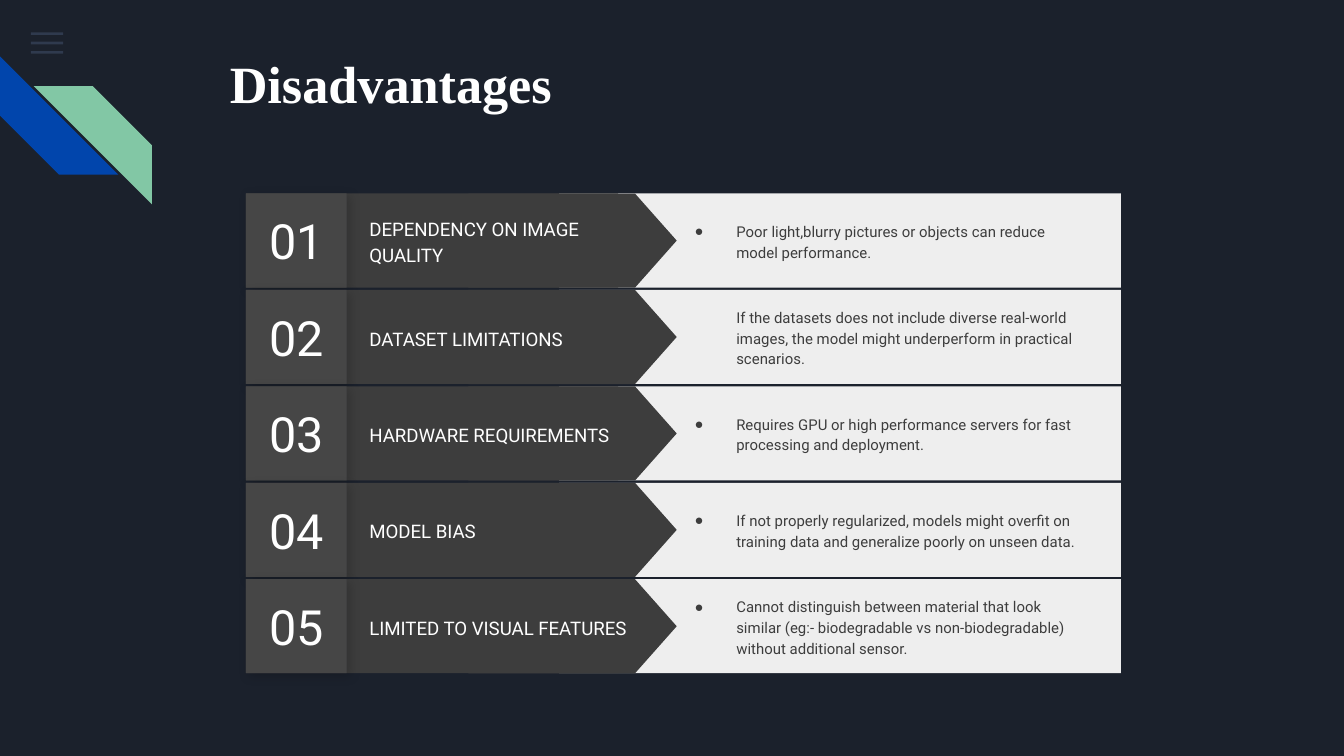
import pptx
import pptx.util
import pptx.dml.color
import pptx.enum.shapes
import pptx.enum.text
import pptx.oxml
import lxml.etree
from pptx.util import Inches, Pt

# Content: number, label, detail, bulleted
TITLE = "Disadvantages"
ROWS = [
    ("01", "DEPENDENCY ON IMAGE QUALITY",
     "Poor light,blurry pictures or objects can reduce model performance.", True),
    ("02", "DATASET LIMITATIONS",
     "If the datasets does not include diverse real-world images, the model "
     "might underperform in practical scenarios.", False),
    ("03", "HARDWARE REQUIREMENTS",
     "Requires GPU or high performance servers for fast processing and deployment.", True),
    ("04", "MODEL BIAS",
     "If not properly regularized, models might overfit on training data and "
     "generalize poorly on unseen data.", True),
    ("05", "LIMITED TO VISUAL FEATURES",
     "Cannot distinguish between material that look similar (eg:- biodegradable "
     "vs non-biodegradable) without additional sensor.", True),
]

# Sizes and formats
TOP, LAST, HIGH = 1.44, 4.31, 0.7
STEP = (LAST - TOP) / (len(ROWS) - 1)
DARK, PALE, WHITE = "3D3D3D", "EEEEEE", "FFFFFF"
KIND = pptx.enum.shapes.MSO_SHAPE
ALIGN = pptx.enum.text.PP_ALIGN
ANCHOR = pptx.enum.text.MSO_ANCHOR
HEAD = {"name": "Times New Roman", "size": Pt(28), "bold": True}
NUMBER = {"name": "Roboto", "size": Pt(26)}
LABEL = {"name": "Roboto", "size": Pt(10)}
DETAIL = {"name": "Roboto", "size": Pt(8)}


def paint(item, code):
    """Give a fill or a font a hex colour."""
    if hasattr(item, "solid"):
        item.solid()
        item = item.fore_color
    else:
        item = item.color
    item.rgb = pptx.dml.color.RGBColor.from_string(code)


def add(node, tag, **attrs):
    """Append a drawing element to an XML node."""
    child = lxml.etree.SubElement(node, pptx.oxml.ns.qn("a:" + tag))
    for key, value in attrs.items():
        child.set(key, str(value))
    return child


def draw(home, kind, box, code, turn=0, flip=False):
    shape = home.add_shape(kind, *map(Inches, box))
    shape.shadow.inherit = False
    paint(shape.fill, code)
    shape.line.fill.background()
    shape.rotation = turn
    if flip:
        shape._element.spPr.xfrm.set("flipH", "1")
    return shape


def write(shape, text, form, code, align=ALIGN.LEFT, anchor=ANCHOR.MIDDLE, lines=1.0):
    """Put one formatted paragraph in a shape and return it."""
    frame = shape.text_frame
    edge = Inches(0.1)
    setup = {"word_wrap": True, "vertical_anchor": anchor, "margin_left": edge,
             "margin_right": edge, "margin_top": edge, "margin_bottom": edge,
             "auto_size": pptx.enum.text.MSO_AUTO_SIZE.NONE}
    for key, value in setup.items():
        setattr(frame, key, value)
    para = frame.paragraphs[0]
    para.alignment, para.line_spacing = align, lines
    run = para.add_run()
    run.text = text
    for key, value in form.items():
        setattr(run.font, key, value)
    paint(run.font, code)
    return para


def indent(para, bullet):
    props = para._p.get_or_add_pPr()
    props.set("marL", str(Inches(0.5)))
    props.set("indent", str(Inches(-0.31 if bullet else 0)))
    if bullet:
        add(add(props, "buClr"), "srgbClr", val=DARK)
        add(props, "buSzPts", val=800)
        add(props, "buFont", typeface="Times New Roman")
        add(props, "buChar", char="●")
    else:
        add(props, "buNone")


def shade(shape):
    """Cast a soft shadow to the lower right."""
    effects = shape._element.spPr.find(pptx.oxml.ns.qn("a:effectLst"))
    cast = add(effects, "outerShdw", blurRad=int(Pt(5.6)), dist=int(Pt(2.2)),
               dir=45 * 60000, algn="tl", rotWithShape=0)
    add(add(cast, "srgbClr", val="000000"), "alpha", val=17000)


def add_row(slide, top, number, label, detail, bullet):
    home = slide.shapes.add_group_shape().shapes
    draw(home, KIND.RECTANGLE, (4.16, top, 4.18, HIGH), PALE)
    draw(home, KIND.RECTANGLE, (2.58, top, 2.02, HIGH), DARK)
    # The arrow is a tall shape turned about its centre
    tall = 1.55
    draw(home, KIND.FLOWCHART_OFFPAGE_CONNECTOR,
         (3.91, top + (HIGH - tall) / 2, HIGH, tall), DARK, turn=270)
    box = home.add_textbox(*map(Inches, (2.65, top + 0.08, 2.12, 0.54)))
    write(box, label, LABEL, WHITE, lines=1.15)
    tile = (1.83, top, 0.75, HIGH)
    shade(draw(home, KIND.RECTANGLE, tile, "414141"))
    write(draw(home, KIND.RECTANGLE, tile, "464646"), number, NUMBER, WHITE, ALIGN.CENTER)
    box = home.add_textbox(*map(Inches, (4.88, top, 3.25, HIGH)))
    indent(write(box, detail, DETAIL, DARK, lines=1.15), bullet)


def main():
    # Widescreen page, 16 by 9
    deck = pptx.Presentation()
    deck.slide_width = Inches(10)
    deck.slide_height = deck.slide_width * 9 // 16
    slide = deck.slides.add_slide(deck.slide_layouts[5])
    paint(slide.background.fill, "1B212C")

    # Menu bars
    for i in range(3):
        bar = draw(slide.shapes, KIND.RECTANGLE, (0.23, 0.24 + 0.07 * i, 0.24, 0.02), "55688B")
        tint = bar._element.spPr.find(".//" + pptx.oxml.ns.qn("a:srgbClr"))
        add(tint, "alpha", val=36000)

    # Corner stripes
    draw(slide.shapes, KIND.DIAGONAL_STRIPE, (0, 0.42, 0.88, 0.88), "0145AC", turn=270)
    draw(slide.shapes, KIND.DIAGONAL_STRIPE, (0.25, 0.64, 0.88, 0.88), "82C7A5", flip=True)

    # Title
    title = slide.shapes.title
    place = {"left": 1.61, "top": 0.28, "width": 7.7, "height": 1}
    for key, value in place.items():
        setattr(title, key, Inches(value))
    write(title, TITLE, HEAD, WHITE, anchor=ANCHOR.TOP)

    # Rows
    for i, row in enumerate(ROWS):
        add_row(slide, TOP + i * STEP, *row)

    deck.save("out.pptx")


if __name__ == "__main__":
    main()
